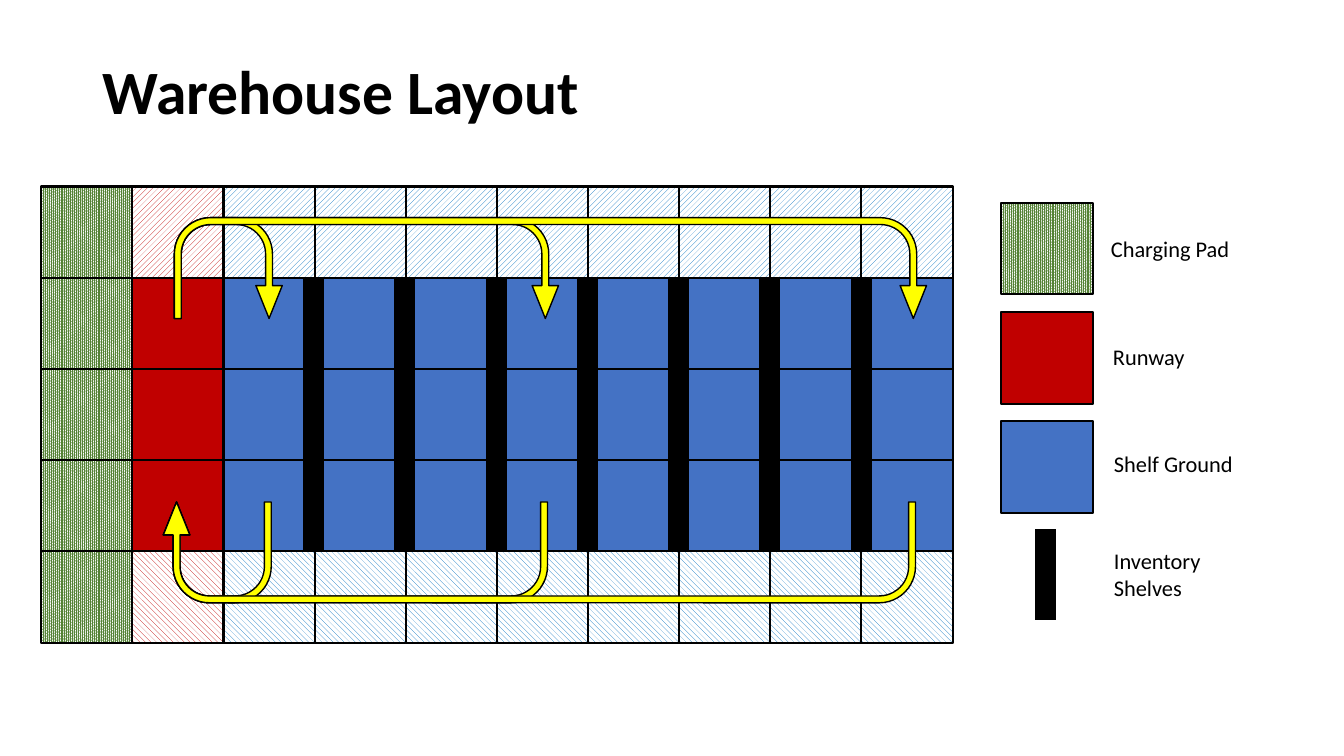
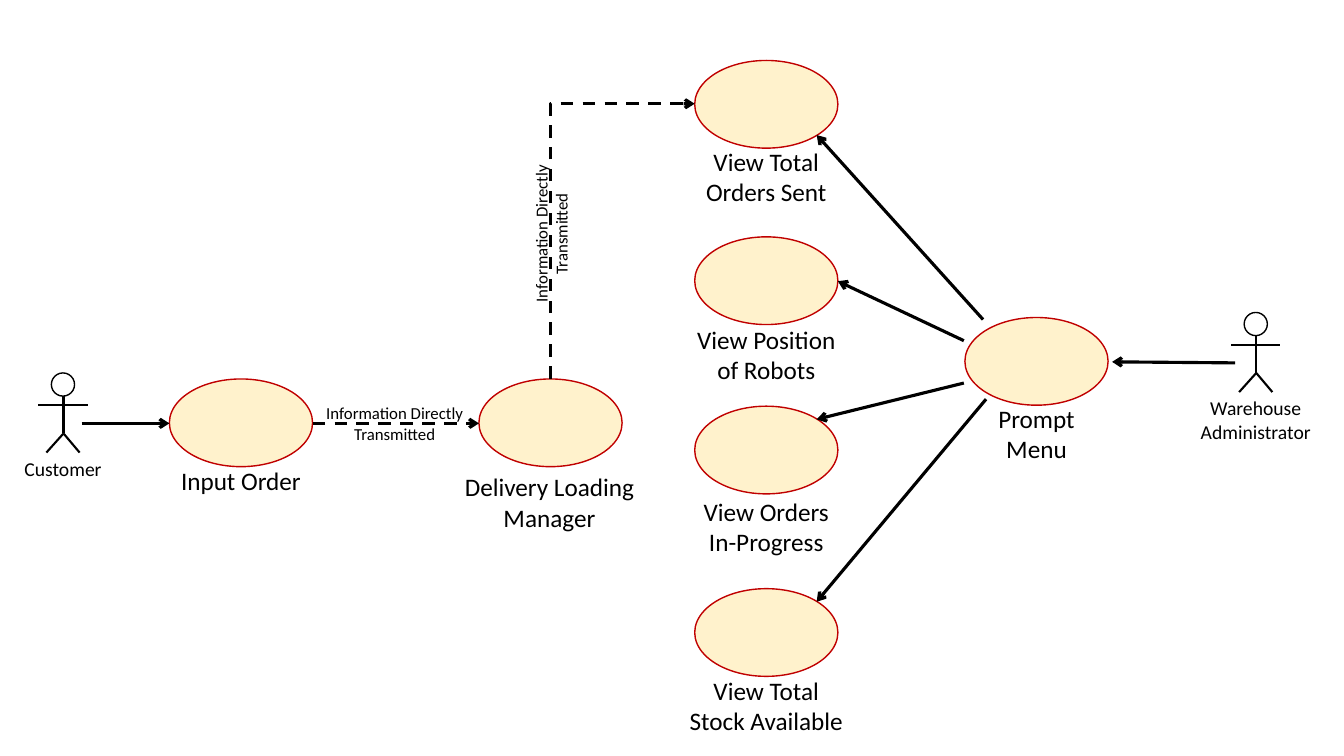
from dataclasses import dataclass

import lxml.etree
import pptx
import pptx.dml.color
import pptx.enum.dml
import pptx.enum.shapes
import pptx.enum.text
import pptx.oxml.ns
import pptx.util

Inches = pptx.util.Inches
Pt = pptx.util.Pt
SHAPE = pptx.enum.shapes.MSO_SHAPE
LINK = pptx.enum.shapes.MSO_CONNECTOR
ALIGN = pptx.enum.text.PP_ALIGN
PATTERN = pptx.enum.dml.MSO_PATTERN
qn = pptx.oxml.ns.qn

FONT = "Calibri"
COLORS = {
    "black": "000000", "white": "FFFFFF", "green": "548235", "red": "C00000",
    "blue": "4472C4", "sky": "0070C0", "yellow": "FFFF00", "cream": "FFF2CC",
}


@dataclass
class Hatch:
    pattern: PATTERN
    color: str


@dataclass
class LegendItem:
    text: str
    left: float
    top: float
    width: float
    height: float = 0.37


@dataclass
class UseCase:
    text: str
    left: float
    top: float
    text_width: float
    text_gap: float
    text_shift: float = 0


@dataclass
class Actor:
    name: str
    x: float
    top: float


@dataclass
class Arrow:
    x1: float
    y1: float
    x2: float
    y2: float
    dashed: bool = False


# Shared drawing functions
def rgb(name: str) -> pptx.dml.color.RGBColor:
    return pptx.dml.color.RGBColor.from_string(COLORS[name])


def add_text(s, text: str, left: float, top: float, width: float, height: float,
             size: int, align=ALIGN.LEFT, bold: bool = False, rotation: int = 0):
    sp = s.shapes.add_textbox(Inches(left), Inches(top), Inches(width), Inches(height))
    sp.rotation = rotation
    tf = sp.text_frame
    tf.word_wrap = True
    p = tf.paragraphs[0]
    p.alignment = align
    r = p.add_run()
    r.text = text
    r.font.name = FONT
    r.font.size = Pt(size)
    r.font.bold = bold
    r.font.color.rgb = rgb("black")
    return sp


def add_title(s, text: str) -> None:
    sp = add_text(s, text, 0.92, 0.4, 11.5, 1.07, 44, bold=True)
    sp.text_frame.vertical_anchor = pptx.enum.text.MSO_ANCHOR.MIDDLE
    sp.text_frame.paragraphs[0].line_spacing = 0.9


def add_shape(s, kind, left: float, top: float, width: float, height: float,
              fill: str | Hatch | None, line: str = "black", weight: float = 1):
    sp = s.shapes.add_shape(kind, Inches(left), Inches(top), Inches(width), Inches(height))
    sp.shadow.inherit = False
    if fill is None:
        sp.fill.background()
    elif isinstance(fill, Hatch):
        sp.fill.patterned()
        sp.fill.pattern = fill.pattern
        sp.fill.fore_color.rgb = rgb(fill.color)
        sp.fill.back_color.rgb = rgb("white")
    else:
        sp.fill.solid()
        sp.fill.fore_color.rgb = rgb(fill)
    sp.line.color.rgb = rgb(line)
    sp.line.width = Pt(weight)
    return sp


def add_line(s, x1: float, y1: float, x2: float, y2: float, weight: float,
             arrow: bool = False, dashed: bool = False, kind=LINK.STRAIGHT):
    sp = s.shapes.add_connector(kind, Inches(x1), Inches(y1), Inches(x2), Inches(y2))
    sp.line.color.rgb = rgb("black")
    sp.line.width = Pt(weight)
    if dashed:
        sp.line.dash_style = pptx.enum.dml.MSO_LINE.DASH
    if arrow:
        ln = sp.element.spPr.find(qn("a:ln"))
        lxml.etree.SubElement(ln, qn("a:tailEnd"), type="arrow")
    lxml.etree.SubElement(sp.element.spPr, qn("a:effectLst"))
    return sp


# Warehouse slide
CELL = 0.91
STEP = 0.905
GRID_LEFT, GRID_TOP, COLUMN_STEP = 0.41, 1.85, 0.9033
COLUMNS, ROWS = 10, 5
SHELF_WEIGHT = 15
CHARGING = Hatch(PATTERN.PERCENT_90, "green")
RUNWAY = Hatch(PATTERN.DARK_VERTICAL, "red")
GROUND = Hatch(PATTERN.DARK_VERTICAL, "blue")
LEGEND_LEFT, LEGEND_TOP, LEGEND_STEP = 9.93, 2.01, 1.085
LEGEND = [
    LegendItem("Charging Pad", 10.92, 2.28, 1.47),
    LegendItem("Runway", 10.94, 3.36, 1.09),
    LegendItem("Shelf Ground", 10.95, 4.42, 1.41),
    LegendItem("Inventory Shelves", 10.95, 5.38, 1.47, 0.64),
]


def cell_fill(column: int, row: int) -> Hatch:
    if column == 0:
        return CHARGING
    lane = "red" if column == 1 else "sky"
    if row == 0:
        return Hatch(PATTERN.WIDE_UPWARD_DIAGONAL, lane)
    if row == ROWS - 1:
        return Hatch(PATTERN.WIDE_DOWNWARD_DIAGONAL, lane)
    return RUNWAY if column == 1 else GROUND


def add_cell(s, left: float, top: float, fill: Hatch) -> None:
    add_shape(s, SHAPE.RECTANGLE, left, top, CELL, CELL, fill, weight=1.5)


def add_route(s, left: float, top: float, width: float, rotation: int) -> None:
    sp = add_shape(s, SHAPE.U_TURN_ARROW, left, top, width, 1, "yellow")
    sp.rotation = rotation
    for i, value in enumerate((0.068, 0.131, 0.326, 0.361, 1)):
        sp.adjustments[i] = value


def build_warehouse(s) -> None:
    add_title(s, "Warehouse Layout")

    # Floor grid and shelves
    for column in range(COLUMNS):
        for row in range(ROWS):
            add_cell(s, GRID_LEFT + column * COLUMN_STEP, GRID_TOP + row * STEP,
                     cell_fill(column, row))
    for i in range(COLUMNS - 3):
        x = 3.11 + i * STEP
        add_line(s, x, 2.75, x, 5.46, SHELF_WEIGHT)

    # Robot routes, out along the top and back along the bottom
    for width in (3.81, 1.07, 7.46):
        add_route(s, 1.73, 2.16, width, 0)
        add_route(s, 1.62, 4.98, width, 180)

    # Legend
    for i, fill in enumerate((CHARGING, RUNWAY, GROUND)):
        add_cell(s, LEGEND_LEFT, LEGEND_TOP + i * LEGEND_STEP, fill)
    add_line(s, 10.37, 5.25, 10.37, 6.15, SHELF_WEIGHT)
    for item in LEGEND:
        add_text(s, item.text, item.left, item.top, item.width, item.height, 16)


# Use case slide
OVAL_W, OVAL_H = 1.42, 0.87
USE_CASES = [
    UseCase("View Total Orders Sent", 6.89, 0.6, 1.61, 0.8),
    UseCase("View Position of Robots", 6.89, 2.35, 1.71, 0.82),
    UseCase("View Orders In-Progress", 6.89, 4.03, 1.52, 0.84),
    UseCase("View Total Stock Available", 6.89, 5.84, 1.84, 0.81),
    UseCase("Input Order", 1.68, 3.76, 1.61, 0.81),
    UseCase("Delivery Loading Manager", 4.75, 3.76, 1.96, 0.87, -0.01),
    UseCase("Prompt Menu", 9.57, 3.15, 1.61, 0.8),
]
ACTORS = [Actor("Customer", 0.63, 3.7), Actor("Warehouse Administrator", 12.46, 3.1)]
ARROWS = [
    Arrow(0.81, 4.2, 1.68, 4.2),
    Arrow(3.1, 4.2, 4.75, 4.2, dashed=True),
    Arrow(9.75, 3.17, 8.1, 1.34),
    Arrow(9.56, 3.38, 8.31, 2.79),
    Arrow(9.56, 3.8, 8.1, 4.16),
    Arrow(9.78, 3.96, 8.1, 5.97),
    Arrow(12.25, 3.6, 11.03, 3.59),
]


def add_actor(s, actor: Actor) -> None:
    x, y = actor.x, actor.top
    add_shape(s, SHAPE.OVAL, x - 0.12, y, 0.23, 0.23, None)
    limbs = ((-0.25, 0.32, 0.24, 0.32), (0, 0.23, 0, 0.6),
             (0, 0.6, -0.17, 0.79), (0.16, 0.79, 0, 0.6))
    for x1, y1, x2, y2 in limbs:
        add_line(s, x + x1, y + y1, x + x2, y + y2, 1.5)
    add_text(s, actor.name, x - 0.86, y + 0.78, 1.71, 0.34, 14, ALIGN.CENTER)


def add_use_case(s, case: UseCase) -> None:
    add_shape(s, SHAPE.OVAL, case.left, case.top, OVAL_W, OVAL_H, "cream", "red")
    left = case.left + (OVAL_W - case.text_width) / 2 + case.text_shift
    add_text(s, case.text, left, case.top + case.text_gap, case.text_width, 0.71,
             18, ALIGN.CENTER)


def add_corner_arrow(s, x1: float, y1: float, x2: float, y2: float) -> None:
    """Dashed arrow that runs up from the start, then right to the end."""
    rise, run = y1 - y2, x2 - x1
    cx, cy = (x1 + x2) / 2, (y1 + y2) / 2
    # A flipped elbow, laid flat around its centre and turned by 90 degrees
    sp = add_line(s, cx + rise / 2, cy + run / 2, cx - rise / 2, cy - run / 2, 2.25,
                  arrow=True, dashed=True, kind=LINK.ELBOW)
    sp.element.spPr.find(qn("a:prstGeom")).set("prst", "bentConnector2")
    sp.element.spPr.find(qn("a:xfrm")).set("rot", str(90 * 60000))


def build_use_cases(s) -> None:
    for actor in ACTORS:
        add_actor(s, actor)
    for case in USE_CASES:
        add_use_case(s, case)
    for a in ARROWS:
        add_line(s, a.x1, a.y1, a.x2, a.y2, 2.25, arrow=True, dashed=a.dashed)
    add_corner_arrow(s, 5.46, 3.76, 6.89, 1.03)
    for left, top, rotation in ((4.66, 2.07, 270), (3.11, 3.95, 0)):
        add_text(s, "Information Directly Transmitted", left, top, 1.61, 0.5, 12,
                 ALIGN.CENTER, rotation=rotation)


def main() -> None:
    prs = pptx.Presentation()
    prs.slide_width, prs.slide_height = Inches(13.33), Inches(7.5)
    for build in (build_warehouse, build_use_cases):
        build(prs.slides.add_slide(prs.slide_layouts[6]))
    prs.save("out.pptx")


if __name__ == "__main__":
    main()
